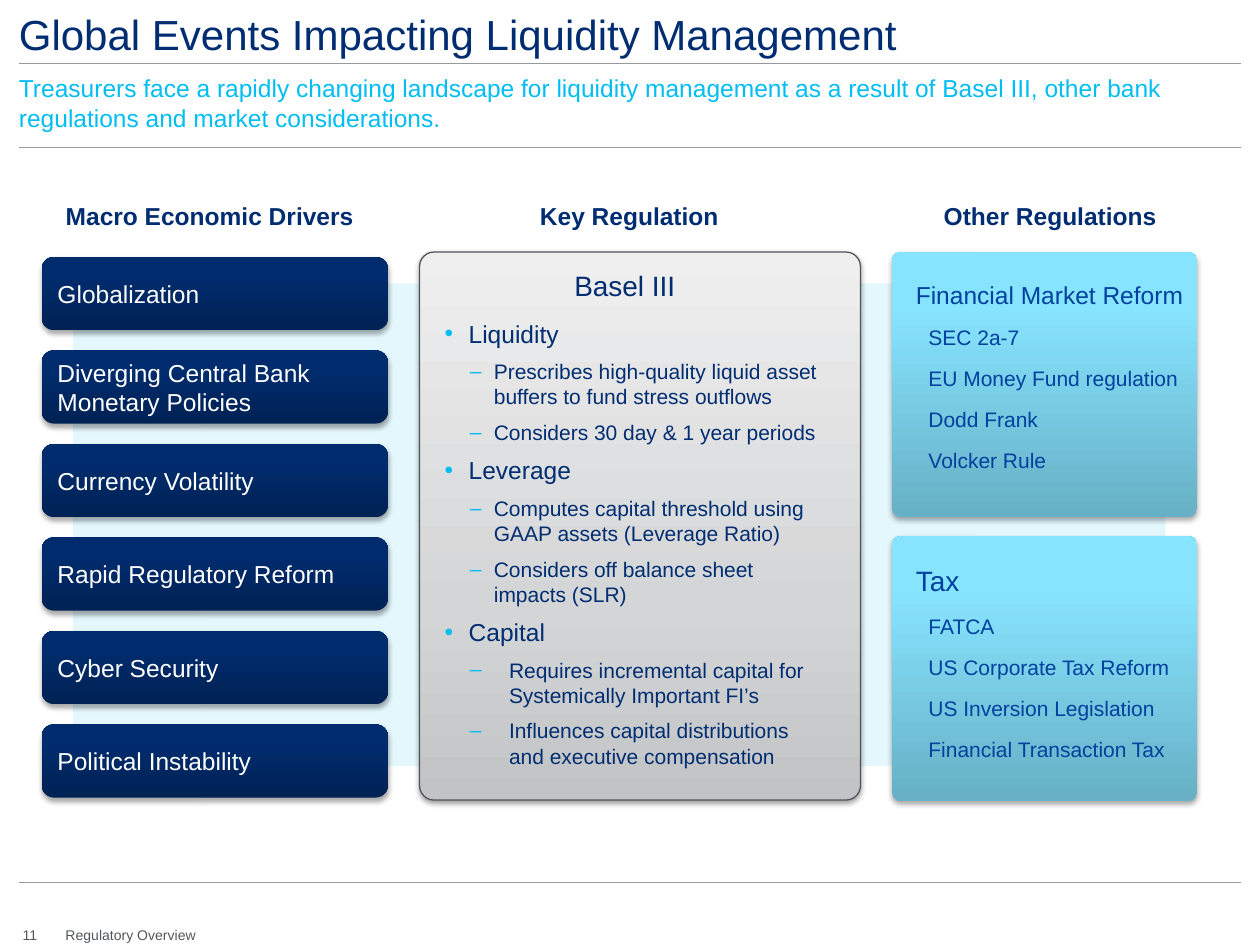
from dataclasses import dataclass

from pptx import Presentation
from pptx.dml.color import RGBColor
from pptx.enum.shapes import MSO_CONNECTOR, MSO_SHAPE
from pptx.enum.text import MSO_ANCHOR, PP_ALIGN
from pptx.oxml.ns import qn
from pptx.util import Inches, Pt
from lxml.etree import SubElement


@dataclass(frozen=True)
class Theme:
    font: str = "Arial"
    white: str = "FFFFFF"
    navy: str = "002D72"
    blue: str = "00409E"
    cyan: str = "00BDF2"
    rule: str = "97999B"
    outline: str = "515458"
    footer: str = "53565A"
    band: str = "99E4FA"
    shadow: str = "000000"
    grey_fade: tuple = ((0, "C2C3C5"), (35, "D4D5D6"), (100, "EFEFF0"))
    sky_fade: tuple = ((0, "67B0C5"), (80, "87E4FF"), (100, "89E4FF"))
    navy_fade: tuple = ((0, "002255"), (80, "002C6E"), (100, "002C6F"))
    title: int = 24
    head: int = 16
    body: int = 14
    detail: int = 12
    small: int = 8


T = Theme()

DRIVERS = [
    ["Globalization"],
    ["Diverging Central Bank", "Monetary Policies"],
    ["Currency Volatility"],
    ["Rapid Regulatory Reform"],
    ["Cyber Security"],
    ["Political Instability"],
]
# Topic, its points, and the left indent and hang of those points
BASEL = [
    ("Liquidity", ["Prescribes high-quality liquid asset buffers to fund stress outflows",
                   "Considers 30 day & 1 year periods"], 0.5, 0.19),
    ("Leverage", ["Computes capital threshold using GAAP assets (Leverage Ratio)",
                  "Considers off balance sheet impacts (SLR)"], 0.5, 0.19),
    ("Capital", ["Requires incremental capital for Systemically Important FI’s",
                 "Influences capital distributions and executive compensation"], 0.62, 0.31),
]
OTHER = [
    ("Financial Market Reform", T.body,
     ["SEC 2a-7", "EU Money Fund regulation", "Dodd Frank", "Volcker Rule"]),
    ("Tax", T.head,
     ["FATCA", "US Corporate Tax Reform", "US Inversion Legislation", "Financial Transaction Tax"]),
]


def rgb(value):
    return RGBColor.from_string(value)


def set_margins(tf, margin):
    tf.margin_left = tf.margin_right = tf.margin_top = tf.margin_bottom = Inches(margin)


def write(tf, text, size=T.body, color=T.navy, bold=False, align=PP_ALIGN.LEFT,
          left=0, hang=0, before=0, after=0, bullet=None):
    """Add one paragraph, using the frame's empty first one if there is one."""
    first = not tf.text
    p = tf.paragraphs[0] if first else tf.add_paragraph()
    p.alignment = align
    p.space_before = Pt(0 if first else before)
    p.space_after = Pt(after)
    pPr = p._p.get_or_add_pPr()
    pPr.set("marL", str(Inches(left)))
    pPr.set("indent", str(Inches(-hang)))
    if bullet:
        SubElement(SubElement(pPr, qn("a:buClr")), qn("a:srgbClr"), val=T.cyan)
        SubElement(pPr, qn("a:buFont"), typeface=T.font)
        SubElement(pPr, qn("a:buChar"), char=bullet)
    r = p.add_run()
    r.text = text
    r.font.name, r.font.size, r.font.bold = T.font, Pt(size), bold
    r.font.color.rgb = rgb(color)


def text_box(s, box, text=None, margin=None, anchor=MSO_ANCHOR.TOP, **fmt):
    sp = s.shapes.add_textbox(*map(Inches, box))
    tf = sp.text_frame
    tf.word_wrap, tf.vertical_anchor = True, anchor
    if margin is not None:
        set_margins(tf, margin)
    if text:
        write(tf, text, **fmt)
    return sp


def rounded(s, box, corner):
    sp = s.shapes.add_shape(MSO_SHAPE.ROUNDED_RECTANGLE, *map(Inches, box))
    sp.adjustments[0] = corner
    sp.shadow.inherit = False
    sp.line.fill.background()
    return sp


def raised(s, box, corner, stops, opacity=35, distance=1.8):
    """Rounded panel with an upward gradient and a soft shadow below."""
    sp = rounded(s, box, corner)
    sp.fill.gradient()
    sp.fill.gradient_angle = 90
    spPr = sp._element.spPr
    gs_list = spPr.find(".//" + qn("a:gsLst"))
    for gs in list(gs_list):
        gs_list.remove(gs)
    for pos, color in stops:
        gs = SubElement(gs_list, qn("a:gs"), pos=str(pos * 1000))
        SubElement(gs, qn("a:srgbClr"), val=color)
    shadow = SubElement(spPr.find(qn("a:effectLst")), qn("a:outerShdw"), blurRad=str(Pt(3.1)),
                        dist=str(Pt(distance)), dir="5400000", rotWithShape="0")
    color = SubElement(shadow, qn("a:srgbClr"), val=T.shadow)
    SubElement(color, qn("a:alpha"), val=str(opacity * 1000))
    return sp


def rule(s, y, x1=0.15, x2=9.85):
    line = s.shapes.add_connector(MSO_CONNECTOR.STRAIGHT, *map(Inches, (x1, y, x2, y)))
    line.line.color.rgb = rgb(T.rule)
    line.line.width = Pt(0.5)
    SubElement(line._element.spPr, qn("a:effectLst"))


def header(s, x, y, w):
    title = text_box(s, (x, y, w, 0.41), "Global Events Impacting Liquidity Management",
                     margin=0, size=T.title)
    title.fill.solid()
    title.fill.fore_color.rgb = rgb(T.white)
    title.line.color.rgb = rgb(T.white)
    title.line.width = Pt(1)
    text_box(s, (x, y + 0.51, w, 0.47),
             "Treasurers face a rapidly changing landscape for liquidity management as a result "
             "of Basel III, other bank regulations and market considerations.",
             margin=0, anchor=MSO_ANCHOR.MIDDLE, color=T.cyan)
    rule(s, y + 1.1)


def background_band(s, box):
    band = rounded(s, box, 0.083)
    band.fill.solid()
    band.fill.fore_color.rgb = rgb(T.band)
    color = band._element.spPr.find(".//" + qn("a:srgbClr"))
    SubElement(color, qn("a:alpha"), val="27000")


def column_heading(s, x, w, text):
    text_box(s, (x, 1.51, w, 0.4), text, anchor=MSO_ANCHOR.MIDDLE,
             bold=True, align=PP_ALIGN.CENTER)


def drivers(s, x, y, w, h):
    """Stack the driver cards with equal gaps over the given height."""
    card_h = 0.58
    pitch = (h - card_h) / (len(DRIVERS) - 1)
    for i, lines in enumerate(DRIVERS):
        tf = raised(s, (x, y + i * pitch, w, card_h), 0.1667, T.navy_fade).text_frame
        tf.word_wrap, tf.vertical_anchor = True, MSO_ANCHOR.MIDDLE
        for line in lines:
            write(tf, line, color=T.white)


def key_regulation(s, x, y, w, h):
    panel = raised(s, (x, y, w, h), 0.033, T.grey_fade, opacity=38, distance=1.6)
    panel.line.color.rgb = rgb(T.outline)
    panel.line.width = Pt(0.75)
    text_box(s, (x + 1.13, y + 0.08, 1.17, 0.37), "Basel III", size=T.head)
    tf = text_box(s, (x + 0.09, y + 0.53, w - 0.36, h - 0.63), margin=0).text_frame
    for topic, points, left, hang in BASEL:
        write(tf, topic, left=0.3, hang=0.19, before=6, bullet="•")
        for point in points:
            write(tf, point, size=T.detail, left=left, hang=hang, before=6, bullet="–")


def other_regulations(s, x, y, w, h):
    gap = 0.15
    panel_h = (h - gap) / len(OTHER)
    for i, (heading, size, items) in enumerate(OTHER):
        top = y + i * (panel_h + gap)
        raised(s, (x, top, w, panel_h), 0.033, T.sky_fade)
        tf = text_box(s, (x + 0.09, top + 0.17, w, 1.65)).text_frame
        write(tf, heading, size=size, color=T.blue, after=3)
        for item in items:
            write(tf, item, size=T.detail, color=T.blue, left=0.1, before=6, after=3)


def footer(s, x, y):
    fmt = dict(margin=0, size=T.small, color=T.footer)
    text_box(s, (x, y, 0.25, 0.13), "11", **fmt)
    text_box(s, (x + 0.34, y, 1.3, 0.13), "Regulatory Overview", **fmt)


def main():
    prs = Presentation()
    prs.slide_width, prs.slide_height = Inches(10), Inches(7.5)
    s = prs.slides.add_slide(prs.slide_layouts[6])
    rule(s, 7)
    background_band(s, (0.58, 2.25, 8.67, 3.83))
    header(s, 0.15, 0.07, 9.69)
    rule(s, 0.5)
    column_heading(s, 0.4, 2.53, "Macro Economic Drivers")
    column_heading(s, 3.83, 2.33, "Key Regulation")
    column_heading(s, 7.17, 2.33, "Other Regulations")
    key_regulation(s, 3.33, 2, 3.5, 4.35)
    other_regulations(s, 7.08, 2, 2.42, 4.36)
    drivers(s, 0.33, 2.04, 2.75, 4.29)
    footer(s, 0.18, 7.35)
    prs.save("out.pptx")


if __name__ == "__main__":
    main()
